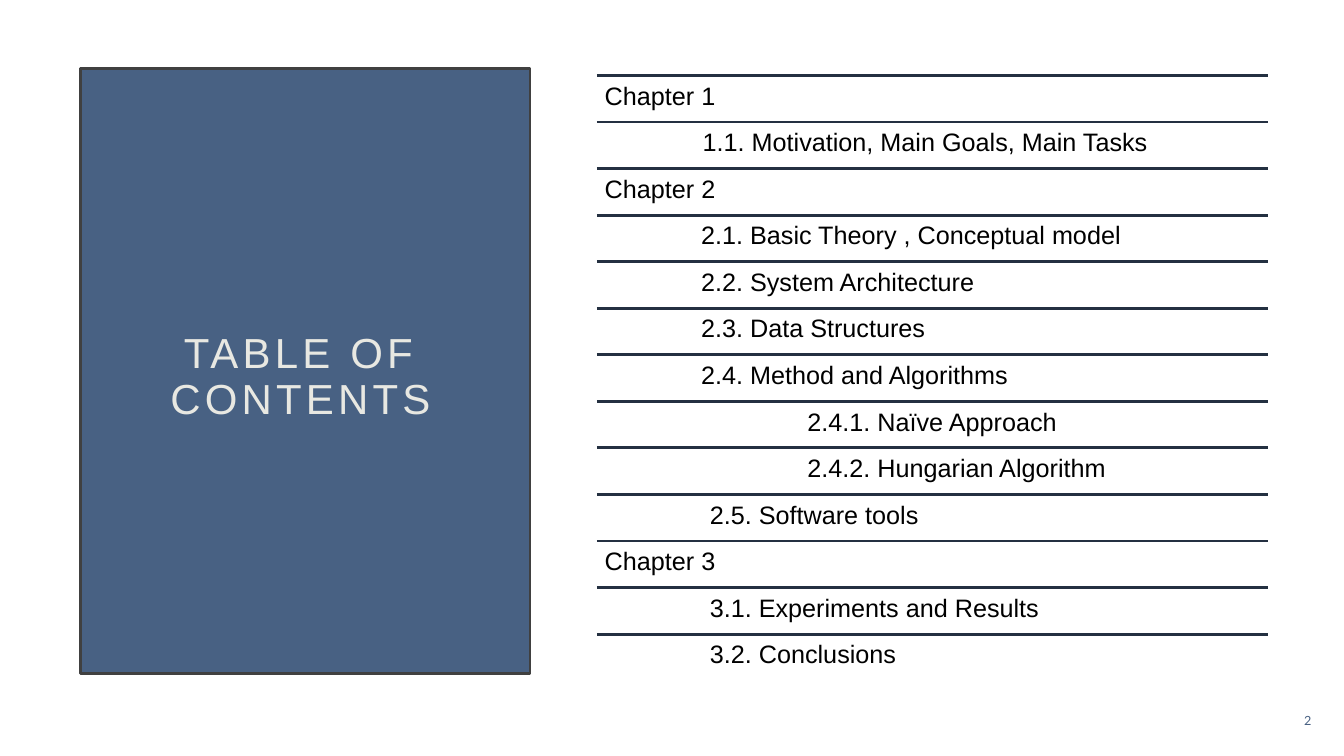
import dataclasses

import pptx
import pptx.dml.color
import pptx.enum.shapes
import pptx.enum.text
import pptx.oxml
import pptx.oxml.ns
import pptx.slide
import pptx.util

Cm = pptx.util.Cm
Pt = pptx.util.Pt
Align = pptx.enum.text.PP_ALIGN
Anchor = pptx.enum.text.MSO_ANCHOR

COLOURS = {
    "panel": "486183",
    "panel_edge": "404040",
    "title": "E8E8E2",
    "rule": "243041",
    "entry": "000000",
}
LIST_LEFT, LIST_RIGHT = 15.04, 31.96
LIST_TOP, LAST_RULE = 1.9, 15.98
CHAPTER, SECTION, SHORT_SECTION, LATE_SECTION, SUBSECTION = 0, 2.47, 2.43, 2.65, 5.11
INSET = 0.2


@dataclasses.dataclass
class Entry:
    text: str
    indent: float


@dataclasses.dataclass
class Label:
    text: str
    left: float
    top: float
    width: float
    height: float
    size: float
    colour: str
    font: str = "Arial"
    tracking: int = 0
    frame_format: dict = dataclasses.field(default_factory=dict)
    para_format: dict = dataclasses.field(default_factory=dict)


ENTRIES = [
    Entry("Chapter 1", CHAPTER),
    Entry("1.1. Motivation, Main Goals, Main Tasks", SECTION),
    Entry("Chapter 2", CHAPTER),
    Entry("2.1. Basic Theory , Conceptual model", SHORT_SECTION),
    Entry("2.2. System Architecture", SHORT_SECTION),
    Entry("2.3. Data Structures", SHORT_SECTION),
    Entry("2.4. Method and Algorithms", SHORT_SECTION),
    Entry("2.4.1. Naïve Approach", SUBSECTION),
    Entry("2.4.2. Hungarian Algorithm", SUBSECTION),
    Entry("2.5. Software tools", LATE_SECTION),
    Entry("Chapter 3", CHAPTER),
    Entry("3.1. Experiments and Results", LATE_SECTION),
    Entry("3.2. Conclusions", LATE_SECTION),
]


def rgb(name: str) -> pptx.dml.color.RGBColor:
    return pptx.dml.color.RGBColor.from_string(COLOURS[name])


def apply_format(target: object, values: dict) -> None:
    for name, value in values.items():
        setattr(target, name, value)


def draw_label(page: pptx.slide.Slide, label: Label) -> None:
    box = page.shapes.add_textbox(
        Cm(label.left), Cm(label.top), Cm(label.width), Cm(label.height)
    )
    apply_format(box.text_frame, {"word_wrap": True, **label.frame_format})
    para = box.text_frame.paragraphs[0]
    apply_format(para, label.para_format)
    span = para.add_run()
    span.text = label.text
    apply_format(span.font, {"name": label.font, "size": Pt(label.size)})
    span.font.color.rgb = rgb(label.colour)
    if label.tracking:
        span.font._element.set("spc", str(label.tracking * 100))


def draw_panel(page: pptx.slide.Slide) -> None:
    panel = page.shapes.add_shape(
        pptx.enum.shapes.MSO_SHAPE.RECTANGLE, Cm(2.03), Cm(1.73), Cm(11.33), Cm(15.24)
    )
    panel.shadow.inherit = False
    panel.fill.solid()
    panel.fill.fore_color.rgb = rgb("panel")
    panel.line.color.rgb = rgb("panel_edge")
    panel.line.width = Pt(2)


def draw_rule(page: pptx.slide.Slide, top: float) -> None:
    rule = page.shapes.add_connector(
        pptx.enum.shapes.MSO_CONNECTOR.STRAIGHT,
        Cm(LIST_LEFT), Cm(top), Cm(LIST_RIGHT), Cm(top),
    )
    rule.line.color.rgb = rgb("rule")
    rule.line.width = Pt(2)
    rule._element.spPr.append(pptx.oxml.parse_xml(
        f'<a:effectLst {pptx.oxml.ns.nsdecls("a")}/>'
    ))


def draw_contents(page: pptx.slide.Slide) -> None:
    pitch = (LAST_RULE - LIST_TOP) / (len(ENTRIES) - 1)
    for row, entry in enumerate(ENTRIES):
        top = LIST_TOP + row * pitch
        draw_rule(page, top)
        draw_label(page, Label(
            entry.text, LIST_LEFT, top, LIST_RIGHT - LIST_LEFT, pitch, 18, "entry",
            frame_format={
                "margin_left": Cm(INSET + entry.indent),
                "margin_right": Cm(INSET),
                "margin_top": Cm(INSET),
                "margin_bottom": Cm(INSET),
            },
            para_format={"line_spacing": 0.9, "space_after": Pt(6.3)},
        ))


def main() -> None:
    deck = pptx.Presentation()
    apply_format(deck, {"slide_width": Cm(33.87), "slide_height": Cm(19.05)})
    page = deck.slides.add_slide(deck.slide_layouts[6])
    middle = {"vertical_anchor": Anchor.MIDDLE}
    draw_panel(page)
    draw_label(page, Label(
        "TABLE OF CONTENTS", 3.18, 3.81, 8.79, 11.43, 30, "title", tracking=3,
        frame_format=middle,
        para_format={"alignment": Align.CENTER, "line_spacing": 0.9},
    ))
    draw_contents(page)
    draw_label(page, Label(
        "2", 30.89, 17.65, 2.41, 1.02, 9, "panel", font="Lato", tracking=3,
        frame_format=middle, para_format={"alignment": Align.RIGHT},
    ))
    deck.save("out.pptx")


if __name__ == "__main__":
    main()
